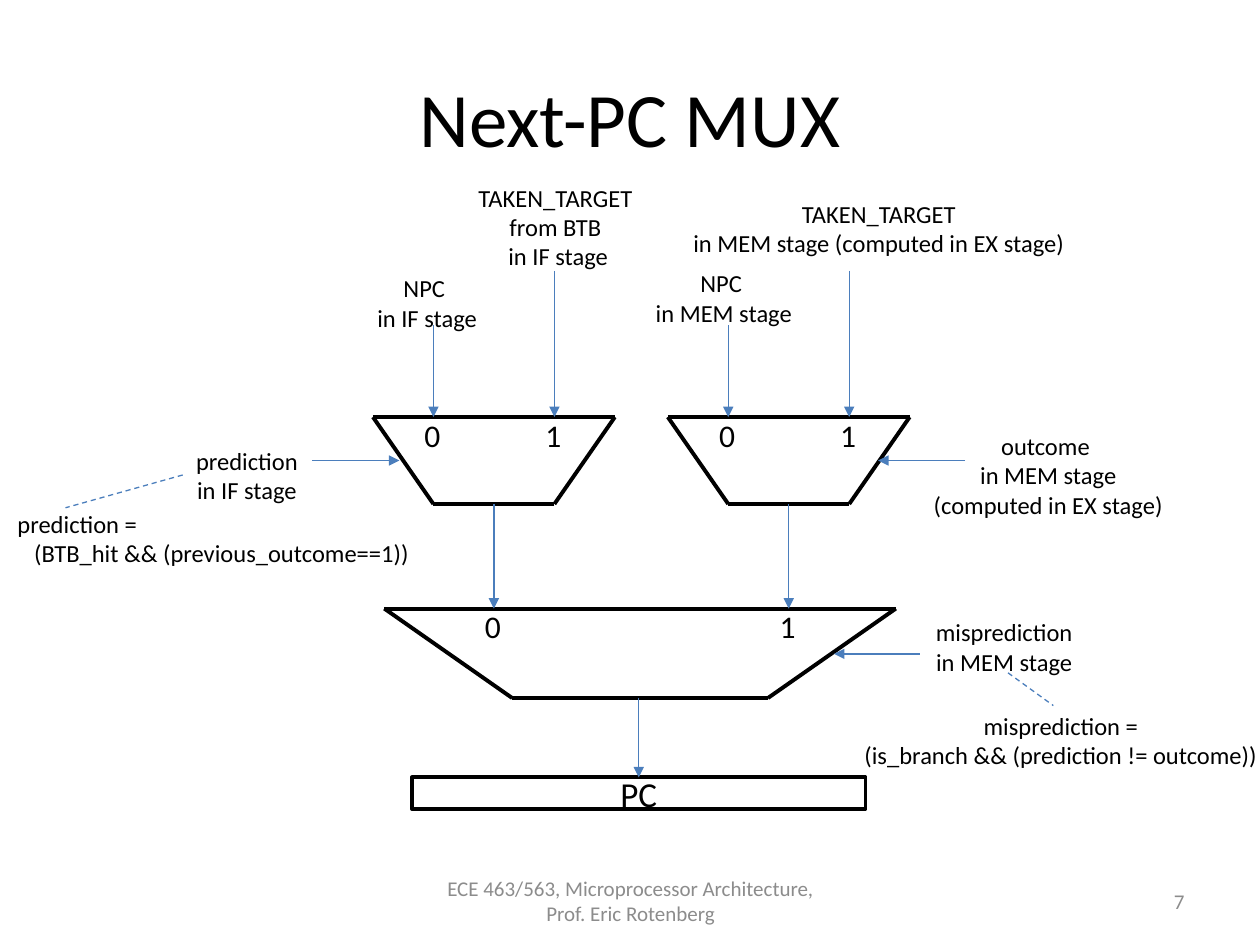
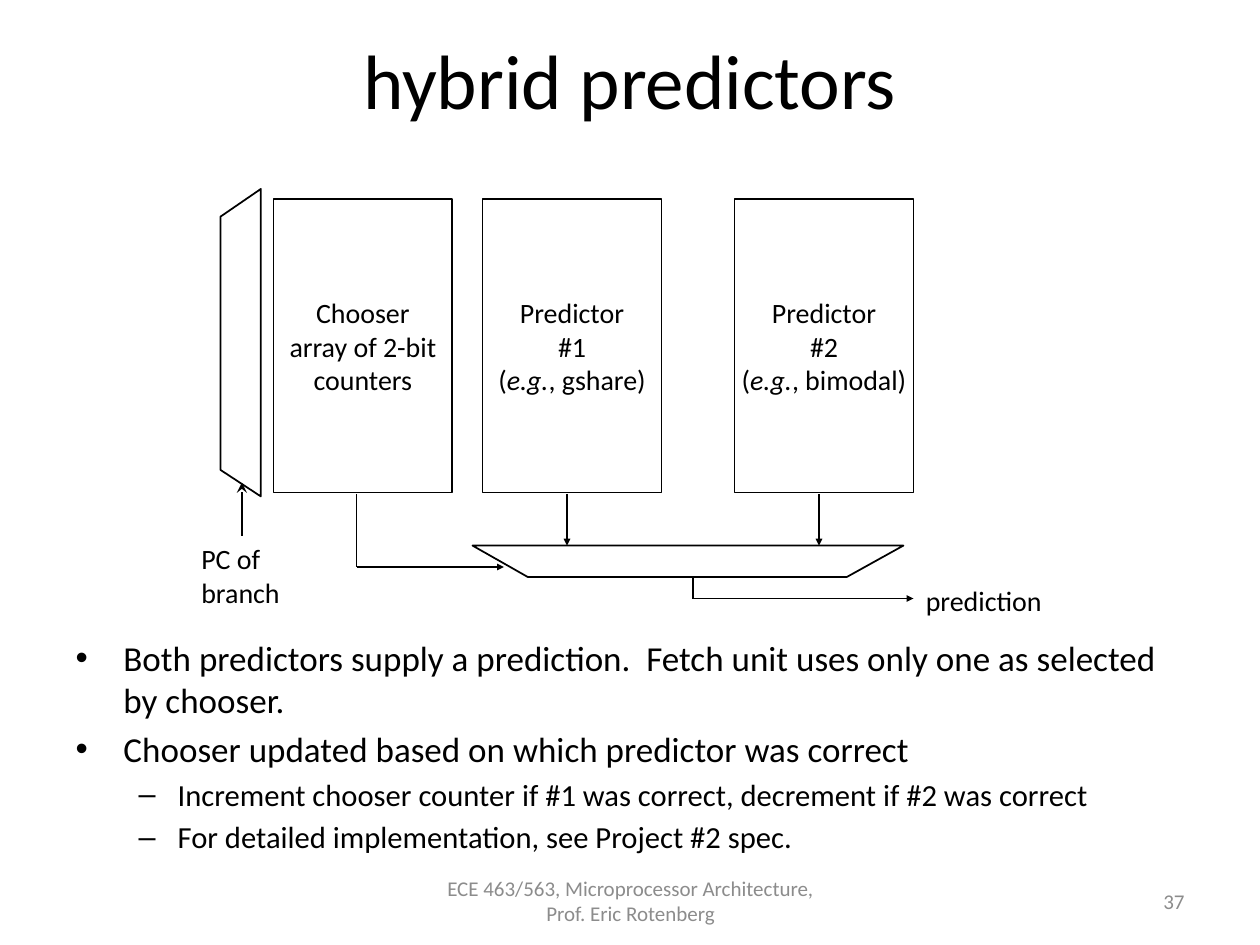
from itertools import pairwise

from lxml import etree
from pptx import Presentation
from pptx.dml.color import RGBColor
from pptx.enum import dml, shapes, text
from pptx.oxml import ns
from pptx.util import Inches, Pt

BLACK = RGBColor(0x00, 0x00, 0x00)
WHITE = RGBColor(0xFF, 0xFF, 0xFF)
GREY = RGBColor(0x8C, 0x8C, 0x8C)
BLUE = RGBColor(0x4B, 0x7E, 0xBC)
FONT = "Calibri"
FOOTER = "ECE 463/563, Microprocessor Architecture, Prof. Eric Rotenberg"
LEFT, CENTER, RIGHT = text.PP_ALIGN.LEFT, text.PP_ALIGN.CENTER, text.PP_ALIGN.RIGHT
TITLE_ONLY, TITLE_AND_BODY = 5, 1
MUX_LINE = 2.25


def inches(*lengths):
    return [Inches(length) for length in lengths]


def style(paragraph, size, color=BLACK, align=None):
    paragraph.font.name = FONT
    paragraph.font.size = Pt(size)
    paragraph.font.color.rgb = color
    if align is not None:
        paragraph.alignment = align


def label(slide, box, *lines, size=14, align=CENTER):
    """Unwrapped caption with one paragraph per line; a newline breaks within one."""
    frame = slide.shapes.add_textbox(*inches(*box)).text_frame
    frame.word_wrap = False
    frame.auto_size = text.MSO_AUTO_SIZE.SHAPE_TO_FIT_TEXT
    for i, line in enumerate(lines):
        paragraph = frame.add_paragraph() if i else frame.paragraphs[0]
        paragraph.text = line
        style(paragraph, size, align=align)


def line(slide, start, end, color=BLUE, width=0.75, arrow=None, arrow_size="med", dashed=False):
    connector = slide.shapes.add_connector(
        shapes.MSO_CONNECTOR.STRAIGHT, *inches(*start, *end))
    connector.line.color.rgb = color
    connector.line.width = Pt(width)
    if dashed:
        connector.line.dash_style = dml.MSO_LINE.DASH
    if arrow:
        etree.SubElement(connector.line._get_or_add_ln(), ns.qn("a:tailEnd"),
                         type=arrow, w=arrow_size, len=arrow_size)
    etree.SubElement(connector._element.spPr, ns.qn("a:effectLst"))
    return connector


def arrow(slide, start, end):
    return line(slide, start, end, arrow="triangle")


def outline(shape, width, fill=None):
    shape.shadow.inherit = False
    if fill is None:
        shape.fill.background()
    else:
        shape.fill.solid()
        shape.fill.fore_color.rgb = fill
    shape.line.color.rgb = BLACK
    shape.line.width = Pt(width)


def rectangle(slide, box, lines, size, width, fill=None):
    """Captioned rectangle that sets each "e.g." in italics."""
    shape = slide.shapes.add_shape(shapes.MSO_SHAPE.RECTANGLE, *inches(*box))
    outline(shape, width, fill)
    frame = shape.text_frame
    frame.word_wrap = False
    frame.vertical_anchor = text.MSO_ANCHOR.MIDDLE
    for i, words in enumerate(lines):
        paragraph = frame.add_paragraph() if i else frame.paragraphs[0]
        for piece in filter(None, words.partition("e.g.")):
            run = paragraph.add_run()
            run.text = piece
            if piece == "e.g.":
                run.font.italic = True
        style(paragraph, size, align=CENTER)
    return shape


def polygon(slide, points):
    corners = [inches(*point) for point in points]
    builder = slide.shapes.build_freeform(*corners[0])
    builder.add_line_segments(corners[1:], close=True)
    outline(builder.convert_to_shape(), 1, WHITE)


def footer_text(slide, box, words, align):
    frame = slide.shapes.add_textbox(*inches(*box)).text_frame
    frame.word_wrap = True
    frame.vertical_anchor = text.MSO_ANCHOR.MIDDLE
    frame.text = words
    style(frame.paragraphs[0], 12, GREY, align)


def new_slide(prs, layout, title, title_top, number):
    slide = prs.slides.add_slide(prs.slide_layouts[layout])
    heading = slide.shapes.title
    heading.left, heading.top, heading.width, heading.height = inches(0.5, title_top, 9, 1.25)
    frame = heading.text_frame
    frame.text = title
    frame.auto_size = text.MSO_AUTO_SIZE.NONE
    frame.vertical_anchor = text.MSO_ANCHOR.MIDDLE
    style(frame.paragraphs[0], 44, align=CENTER)
    footer_text(slide, (3.42, 6.95, 3.17, 0.4), FOOTER, CENTER)
    footer_text(slide, (7.17, 6.95, 2.33, 0.4), str(number), RIGHT)
    return slide


def mux(slide, box, inputs):
    """Trapezoid whose base is half its top, with inputs 0 and 1 at the given x."""
    left, top, width, height = box
    right, bottom, inset = left + width, top + height, width / 4
    corners = [(left, top), (right, top), (right - inset, bottom),
               (left + inset, bottom), (left, top)]
    for start, end in pairwise(corners):
        line(slide, start, end, BLACK, MUX_LINE)
    for digit, x in enumerate(inputs):
        label(slide, (x - 0.17, top - 0.06, 0.33, 0.4), str(digit), size=18, align=LEFT)


def branch_mux(slide, box, captions, select):
    """Mux with NPC and target inputs; captions and select are offsets from its corner."""
    left, top, width, height = box
    inputs = [left + width / 4, left + width * 3 / 4]
    mux(slide, box, inputs)
    for x, rise in zip(inputs, (0.73, 1.16)):
        arrow(slide, (x, top - rise), (x, top))
    for (dx, dy, w, h), lines in captions:
        label(slide, (left + dx, top + dy, w, h), *lines)
    start, end = select
    arrow(slide, (left + start, top + height / 2), (left + end, top + height / 2))


def next_pc_slide(prs):
    slide = new_slide(prs, TITLE_ONLY, "Next-PC MUX", 0.3, 7)
    top, width, height = 3.31, 1.92, 0.69
    if_left, mem_left = 2.96, 5.3
    branch_mux(slide, (if_left, top, width, height), [
        ((-0.07, -1.19, 1, 0.57), ["NPC \nin IF stage"]),
        ((0.73, -1.91, 1.48, 0.81), ["TAKEN_TARGET \nfrom BTB \nin IF stage"]),
        ((-1.51, 0.18, 1.02, 0.57), ["prediction", "in IF stage"]),
    ], (-0.48, 0.21))
    branch_mux(slide, (mem_left, top, width, height), [
        ((-0.2, -1.23, 1.29, 0.57), ["NPC \nin MEM stage"]),
        ((0.09, -1.78, 3.17, 0.57), ["TAKEN_TARGET\nin MEM stage (computed in EX stage)"]),
        ((2, 0.06, 2.04, 0.81), ["outcome \nin MEM stage\n(computed in EX stage)"]),
    ], (2.36, 1.67))

    final_top, final_height = 4.83, 0.71
    final_inputs = [left + width / 2 for left in (if_left, mem_left)]
    mux(slide, (3.05, final_top, 4.06, final_height), final_inputs)
    for x in final_inputs:
        arrow(slide, (x, top + height), (x, final_top))
    pc = rectangle(slide, (3.27, 6.17, 3.6, 0.25), ["PC"], 20, MUX_LINE)
    arrow(slide, (5.07, final_top + final_height), (5.07, 6.17)).end_connect(pc, 0)

    arrow(slide, (7.3, 5.19), (6.62, 5.19))
    label(slide, (7.32, 4.85, 1.3, 0.57), "misprediction\nin MEM stage")
    label(slide, (6.75, 5.59, 3.34, 0.57),
          "misprediction =\n(is_branch && (prediction != outcome))")
    label(slide, (0.04, 3.99, 3.38, 0.57),
          "prediction = \n   (BTB_hit && (previous_outcome==1))", align=LEFT)
    line(slide, (1.45, 3.77), (0.52, 4.03), dashed=True)
    line(slide, (8, 5.34), (8.36, 5.6), dashed=True)


def predictor_diagram(slide, left, top):
    def at(x, y):
        return left + x, top + y

    def wire(*points, head="triangle", size="sm"):
        """Path of straight lines with an arrowhead on the last."""
        segments = list(pairwise(at(*point) for point in points))
        for start, end in segments[:-1]:
            line(slide, start, end, BLACK, 1)
        line(slide, *segments[-1], BLACK, 1, head, size)

    tables = [
        (0.67, ["Chooser", "array of 2-bit", "counters"]),
        (2.33, ["Predictor", "#1", "(e.g., gshare)"]),
        (4.33, ["Predictor", "#2", "(e.g., bimodal)"]),
    ]
    for x, lines in tables:
        rectangle(slide, (*at(x, 0.08), 1.42, 2.33), lines, 16, 1, WHITE)
    decoder = [(0.57, 0), (0.25, 0.22), (0.25, 2.23), (0.57, 2.44)]
    selector = [(2.25, 2.83), (2.69, 3.08), (5.22, 3.08), (5.67, 2.83)]
    for points in (decoder, selector):
        polygon(slide, [at(*point) for point in points])

    for x in (3, 5):
        wire((x, 2.42), (x, 2.83))
    wire((1.33, 2.42), (1.33, 3), (2.5, 3))
    wire((4, 3.08), (4, 3.25), (5.75, 3.25))
    wire((0.42, 2.75), (0.42, 2.33), head="stealth", size="med")
    label(slide, (*at(0, 2.75), 0.83, 0.64), "PC of", "branch", size=16, align=LEFT)
    label(slide, (*at(5.75, 3.08), 1.13, 0.37), "prediction", size=16, align=LEFT)


def bullets(body, box, items):
    body.left, body.top, body.width, body.height = inches(*box)
    frame = body.text_frame
    frame.auto_size = text.MSO_AUTO_SIZE.NONE
    levels = [(0.38, -0.38, 20), (0.81, -0.31, 17.5)]
    for i, (level, words) in enumerate(items):
        paragraph = frame.add_paragraph() if i else frame.paragraphs[0]
        paragraph.text = words
        paragraph.level = level
        margin, indent, size = levels[level]
        properties = paragraph._p.get_or_add_pPr()
        properties.set("marL", str(Inches(margin)))
        properties.set("indent", str(Inches(indent)))
        paragraph.space_before = Pt(size * 0.2 if i else 0)
        style(paragraph, size)


def hybrid_slide(prs):
    slide = new_slide(prs, TITLE_AND_BODY, "hybrid predictors", 0, 37)
    predictor_diagram(slide, 1.5, 1.5)
    bullets(slide.placeholders[1], (0.5, 5, 9, 1.7), [
        (0, "Both predictors supply a prediction.  Fetch unit uses only one as selected by chooser."),
        (0, "Chooser updated based on which predictor was correct"),
        (1, "Increment chooser counter if #1 was correct, decrement if #2 was correct"),
        (1, "For detailed implementation, see Project #2 spec."),
    ])


def main():
    prs = Presentation()
    prs.slide_width, prs.slide_height = inches(10, 7.5)
    next_pc_slide(prs)
    hybrid_slide(prs)
    prs.save("out.pptx")


if __name__ == "__main__":
    main()
